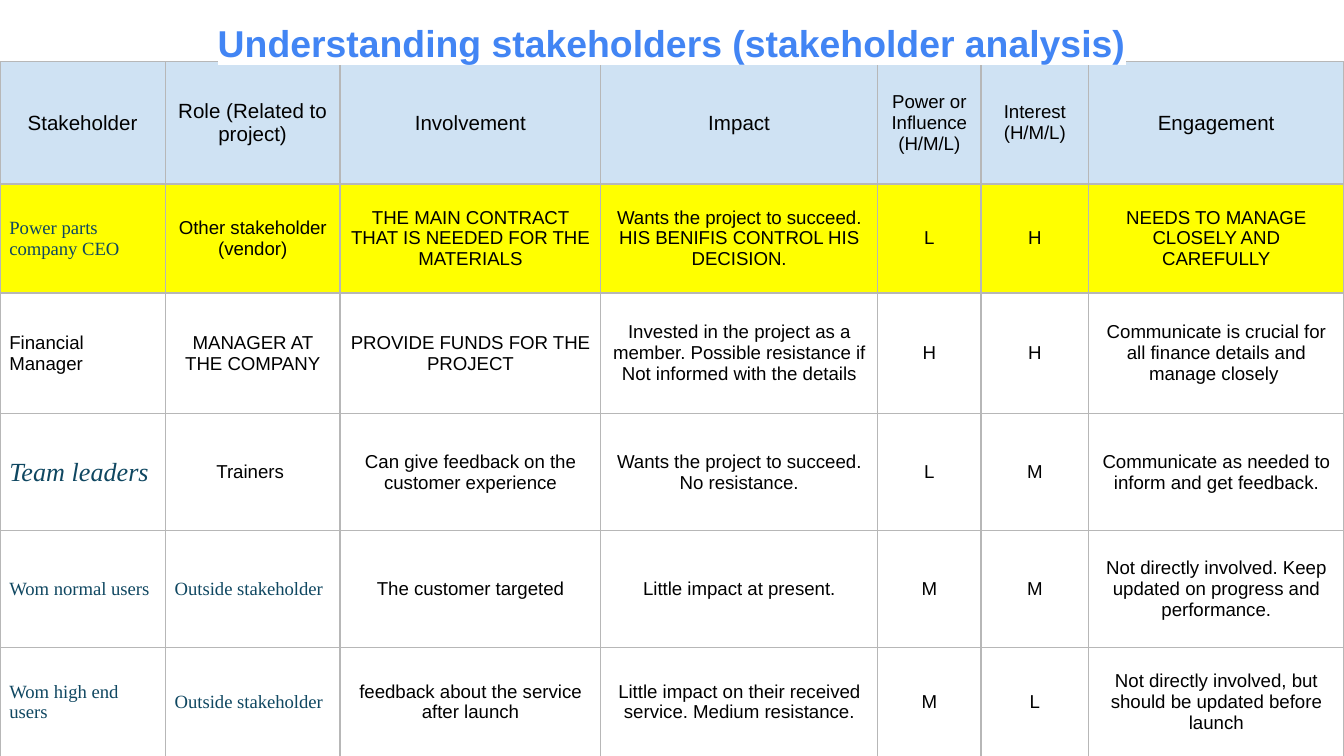
from dataclasses import dataclass

from lxml import etree
from pptx import Presentation
from pptx.dml.color import RGBColor
from pptx.enum.text import MSO_ANCHOR, MSO_AUTO_SIZE, PP_ALIGN
from pptx.oxml.ns import qn
from pptx.util import Inches, Pt

CENTER, LEFT = PP_ALIGN.CENTER, PP_ALIGN.LEFT
TOP, MIDDLE = MSO_ANCHOR.TOP, MSO_ANCHOR.MIDDLE
GROW = MSO_AUTO_SIZE.SHAPE_TO_FIT_TEXT

BLACK, NAVY, BLUE = "000000", "0F4761", "4285F4"
WHITE, PALE, YELLOW, GRAY = "FFFFFF", "CFE2F3", "FFFF00", "B7B7B7"


@dataclass(frozen=True)
class Look:
    size: float = 10
    font: str = "Arial"
    color: str = BLACK
    align: PP_ALIGN = CENTER
    bold: bool = False
    italic: bool = False


BODY = Look()
HEAD = Look(size=11)
SIDE = Look(align=LEFT)
SERIF = Look(font="Times New Roman", color=NAVY, align=LEFT)
LEADER = Look(size=14, font="Times New Roman", color=NAVY, align=LEFT, italic=True)
TITLE = Look(size=20, color=BLUE, bold=True)


@dataclass(frozen=True)
class Cell:
    text: str
    look: Look = BODY


@dataclass(frozen=True)
class Row:
    height: float
    cells: list[Cell]
    fill: str = ""


WIDTHS = [1.23, 1.3, 1.94, 2.06, 0.77, 0.8, 1.9]
ROWS = [
    Row(0.91, [
        Cell("Stakeholder", HEAD),
        Cell("Role (Related to project)", HEAD),
        Cell("Involvement", HEAD),
        Cell("Impact", HEAD),
        Cell("Power or Influence (H/M/L)"),
        Cell("Interest (H/M/L)"),
        Cell("Engagement", HEAD),
    ], PALE),
    Row(0.81, [
        Cell("Power parts company CEO", SERIF),
        Cell("Other stakeholder\n(vendor)"),
        Cell("THE MAIN CONTRACT THAT IS NEEDED FOR THE MATERIALS"),
        Cell("Wants the project to succeed. HIS BENIFIS CONTROL HIS DECISION."),
        Cell("L"),
        Cell("H"),
        Cell("NEEDS TO MANAGE CLOSELY AND CAREFULLY"),
    ], YELLOW),
    Row(0.9, [
        Cell("Financial Manager", SIDE),
        Cell("MANAGER AT THE COMPANY"),
        Cell("PROVIDE FUNDS FOR THE PROJECT"),
        Cell("Invested in the project as a member. Possible resistance if "
             "Not informed with the details"),
        Cell("H"),
        Cell("H"),
        Cell("Communicate is crucial for all finance details and manage closely "),
    ]),
    Row(0.87, [
        Cell("Team leaders", LEADER),
        Cell("Trainers "),
        Cell("Can give feedback on the customer experience"),
        Cell("Wants the project to succeed. No resistance."),
        Cell("L"),
        Cell("M"),
        Cell("Communicate as needed to inform and get feedback."),
    ]),
    Row(0.87, [
        Cell("Wom normal users", SERIF),
        Cell("Outside stakeholder", SERIF),
        Cell("The customer targeted"),
        Cell("Little impact at present."),
        Cell("M"),
        Cell("M"),
        Cell("Not directly involved. Keep updated on progress and performance."),
    ]),
    Row(0.81, [
        Cell("Wom high end users", SERIF),
        Cell("Outside stakeholder", SERIF),
        Cell("feedback about the service after launch"),
        Cell("Little impact on their received service. Medium resistance."),
        Cell("M"),
        Cell("L"),
        Cell("Not directly involved, but should be updated before launch"),
    ]),
]


def rgb(code: str) -> RGBColor:
    return RGBColor.from_string(code)


def write(frame, text: str, look: Look) -> None:
    frame.text = text
    for para in frame.paragraphs:
        para.alignment = look.align
        for run in para.runs:
            font = run.font
            font.size = Pt(look.size)
            font.name = look.font
            font.bold = look.bold
            font.italic = look.italic
            font.color.rgb = rgb(look.color)


def border(cell, color: str, width: float) -> None:
    props = cell._tc.get_or_add_tcPr()
    for side in ("lnL", "lnR", "lnT", "lnB"):
        line = etree.SubElement(props, qn(f"a:{side}"), w=str(Pt(width)))
        fill = etree.SubElement(line, qn("a:solidFill"))
        etree.SubElement(fill, qn("a:srgbClr"), val=color)


def mark(run, color: str) -> None:
    light = etree.Element(qn("a:highlight"))
    etree.SubElement(light, qn("a:srgbClr"), val=color)
    run.font._element.find(qn("a:solidFill")).addnext(light)


def draw_cell(cell, item: Cell, fill: str) -> None:
    border(cell, GRAY, 0.75)
    if fill:
        cell.fill.solid()
        cell.fill.fore_color.rgb = rgb(fill)
    else:
        cell.fill.background()
    cell.vertical_anchor = MIDDLE
    cell.margin_left = cell.margin_right = Inches(0.07)
    cell.margin_top = cell.margin_bottom = Inches(0.05)
    write(cell.text_frame, item.text, item.look)


def draw_table(slide, rows: list[Row], widths: list[float]) -> None:
    high = sum(row.height for row in rows)
    table = slide.shapes.add_table(
        len(rows), len(widths), Inches(0), Inches(0.46),
        Inches(sum(widths)), Inches(high)).table
    table.first_row = table.horz_banding = False
    for col, width in zip(table.columns, widths):
        col.width = Inches(width)
    for r, row in enumerate(rows):
        table.rows[r].height = Inches(row.height)
        for c, item in enumerate(row.cells):
            draw_cell(table.cell(r, c), item, row.fill)


def draw_title(slide, text: str) -> None:
    title = slide.shapes.title
    title.left, title.top = Inches(0), Inches(0)
    title.width, title.height = Inches(10), Inches(0.54)
    frame = title.text_frame
    frame.word_wrap = True
    frame.auto_size = GROW
    frame.vertical_anchor = TOP
    frame.margin_left = frame.margin_right = Inches(0.1)
    frame.margin_top = frame.margin_bottom = Inches(0.1)
    write(frame, text, TITLE)
    para = frame.paragraphs[0]
    para.line_spacing = 1.15
    para.space_before = Pt(0)
    mark(para.runs[0], WHITE)
    slide.shapes._spTree.append(title._element)


def main() -> None:
    deck = Presentation()
    deck.slide_width = Inches(10)
    deck.slide_height = Inches(10 * 9 / 16)
    slide = deck.slides.add_slide(deck.slide_layouts[5])
    draw_table(slide, ROWS, WIDTHS)
    draw_title(slide, "Understanding stakeholders (stakeholder analysis)")
    deck.save("out.pptx")


if __name__ == "__main__":
    main()
